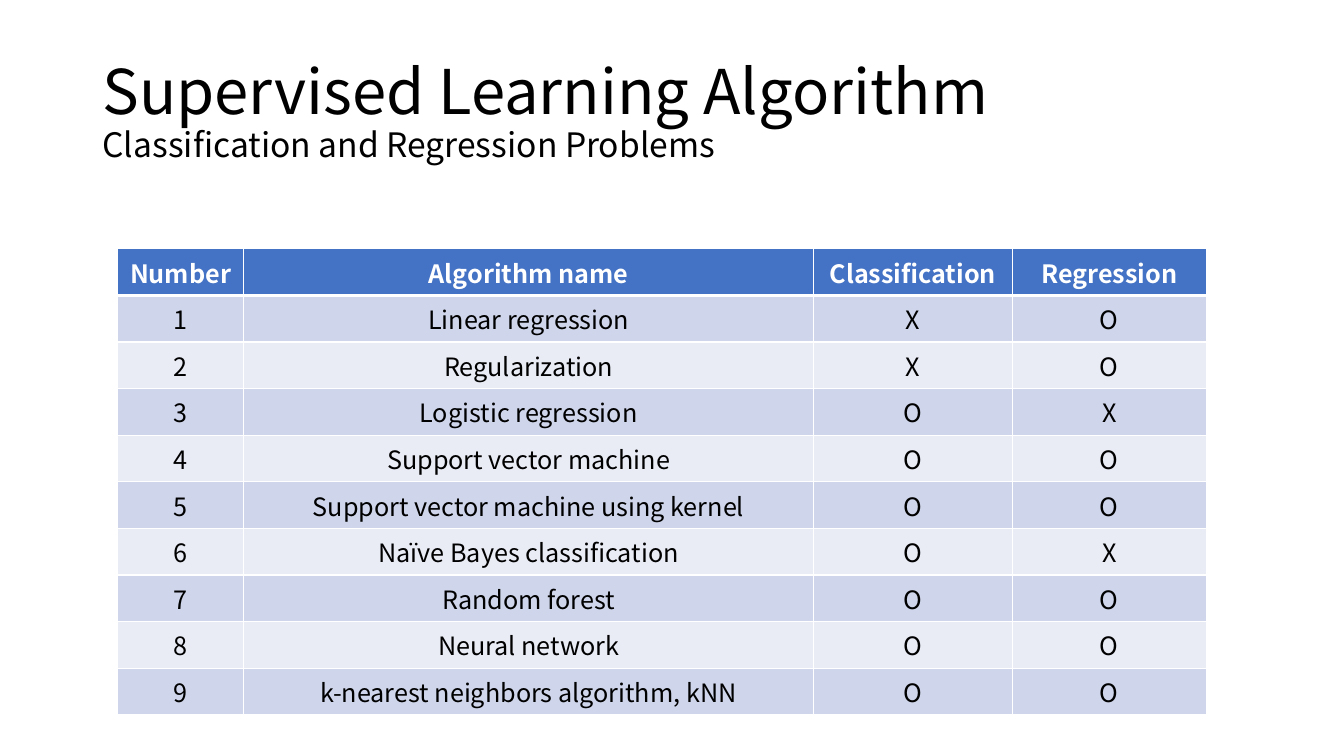
from lxml.etree import SubElement
from pptx import Presentation
from pptx.dml.color import RGBColor
from pptx.enum.text import MSO_ANCHOR, MSO_AUTO_SIZE, PP_ALIGN
from pptx.oxml.ns import qn
from pptx.util import Pt

PX = 9525
FONT = "Noto Sans CJK KR"
COLORS = {
    "ink": "000000",
    "white": "FFFFFF",
    "header": "4472C4",
    "odd": "CFD5EA",
    "even": "E9EBF5",
}
HEADINGS = ("Number", "Algorithm name", "Classification", "Regression")
ALGORITHMS = (
    ("Linear regression", "X", "O"),
    ("Regularization", "X", "O"),
    ("Logistic regression", "O", "X"),
    ("Support vector machine", "O", "O"),
    ("Support vector machine using kernel", "O", "O"),
    ("Naïve Bayes classification", "O", "X"),
    ("Random forest", "O", "O"),
    ("Neural network", "O", "O"),
    ("k-nearest neighbors algorithm, kNN", "O", "O"),
)


def write(paragraph, text, size=18, color="ink", bold=False, align=PP_ALIGN.CENTER):
    paragraph.alignment = align
    run = paragraph.add_run()
    run.text = text
    run.font.name = FONT
    run.font.size = Pt(size)
    run.font.bold = bold
    run.font.color.rgb = RGBColor.from_string(COLORS[color])


class SlideBuilder:
    def __init__(self, presentation):
        self.slide = presentation.slides.add_slide(presentation.slide_layouts[5])

    def title(self, heading, subheading, left, top, width, height):
        title = self.slide.shapes.title
        title.left, title.top = left * PX, top * PX
        title.width, title.height = width * PX, height * PX
        frame = title.text_frame
        frame.word_wrap = True
        frame.auto_size = MSO_AUTO_SIZE.NONE
        frame.vertical_anchor = MSO_ANCHOR.MIDDLE
        paragraph = frame.paragraphs[0]
        paragraph.line_spacing = 0.9
        write(paragraph, heading, size=44, align=PP_ALIGN.LEFT)
        paragraph.add_line_break()
        write(paragraph, subheading, size=24, align=PP_ALIGN.LEFT)

    def borders(self, cell, top, bottom):
        properties = cell._tc.get_or_add_tcPr()
        widths = {"a:lnL": 1, "a:lnR": 1, "a:lnT": top, "a:lnB": bottom}
        for position, (side, width) in enumerate(widths.items()):
            line = SubElement(properties, qn(side), w=str(Pt(width)))
            fill = SubElement(line, qn("a:solidFill"))
            SubElement(fill, qn("a:srgbClr"), val=COLORS["white"])
            properties.insert(position, line)

    def table(self, rows, left, top, widths, row_height):
        table = self.slide.shapes.add_table(
            len(rows), len(widths), left * PX, top * PX,
            sum(widths) * PX, len(rows) * row_height * PX,
        ).table
        for column, width in zip(table.columns, widths):
            column.width = width * PX
        for number, (row, values) in enumerate(zip(table.rows, rows)):
            row.height = row_height * PX
            is_header = number == 0
            shade = "header" if is_header else "odd" if number % 2 else "even"
            for cell, value in zip(row.cells, values):
                cell.fill.solid()
                cell.fill.fore_color.rgb = RGBColor.from_string(COLORS[shade])
                write(cell.text_frame.paragraphs[0], value, bold=is_header,
                      color="white" if is_header else "ink")
                self.borders(cell, top=3 if number == 1 else 1,
                             bottom=3 if is_header else 1)


def main():
    presentation = Presentation()
    presentation.slide_width = 1280 * PX
    presentation.slide_height = 720 * PX
    builder = SlideBuilder(presentation)
    builder.title("Supervised Learning Algorithm",
                  "Classification and Regression Problems", 88, 38, 1104, 139)
    numbered = [(str(n), *entry) for n, entry in enumerate(ALGORITHMS, 1)]
    builder.table([HEADINGS, *numbered], 112, 237, (120, 543, 189, 185), 39)
    presentation.save("out.pptx")


if __name__ == "__main__":
    main()
